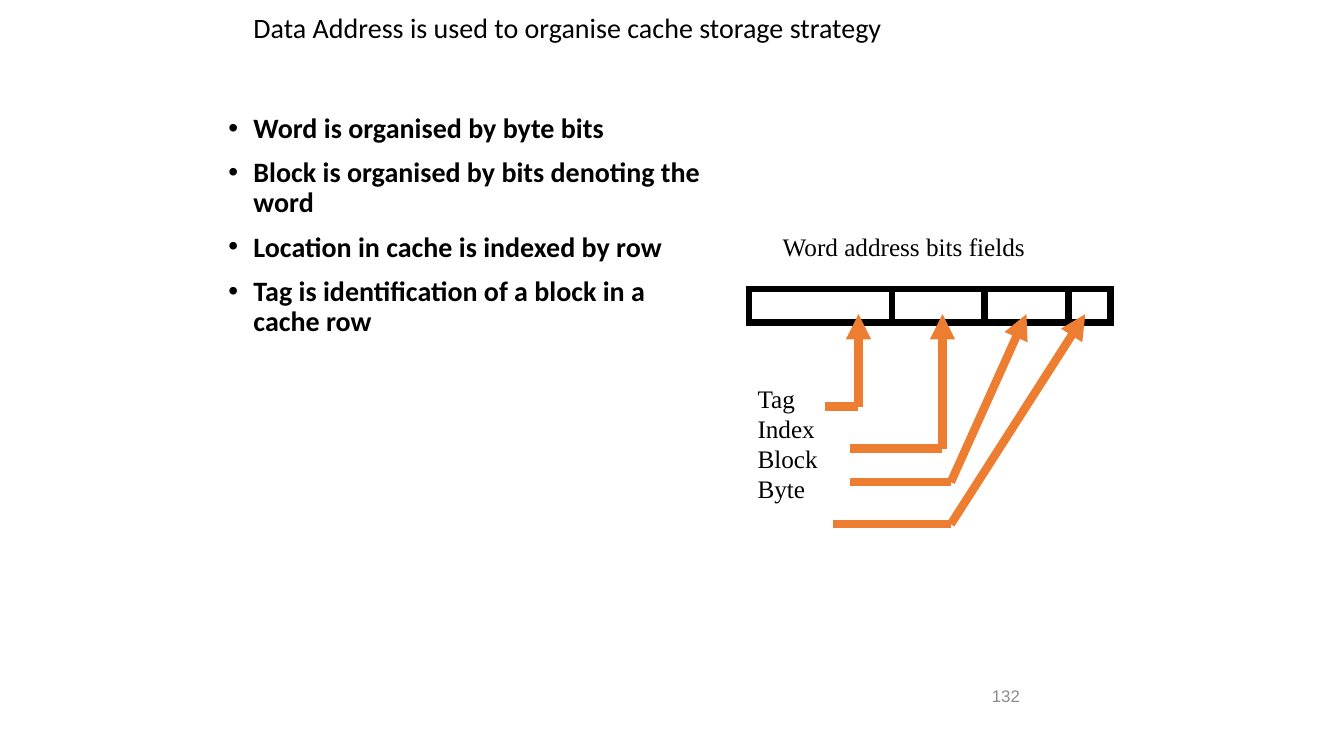
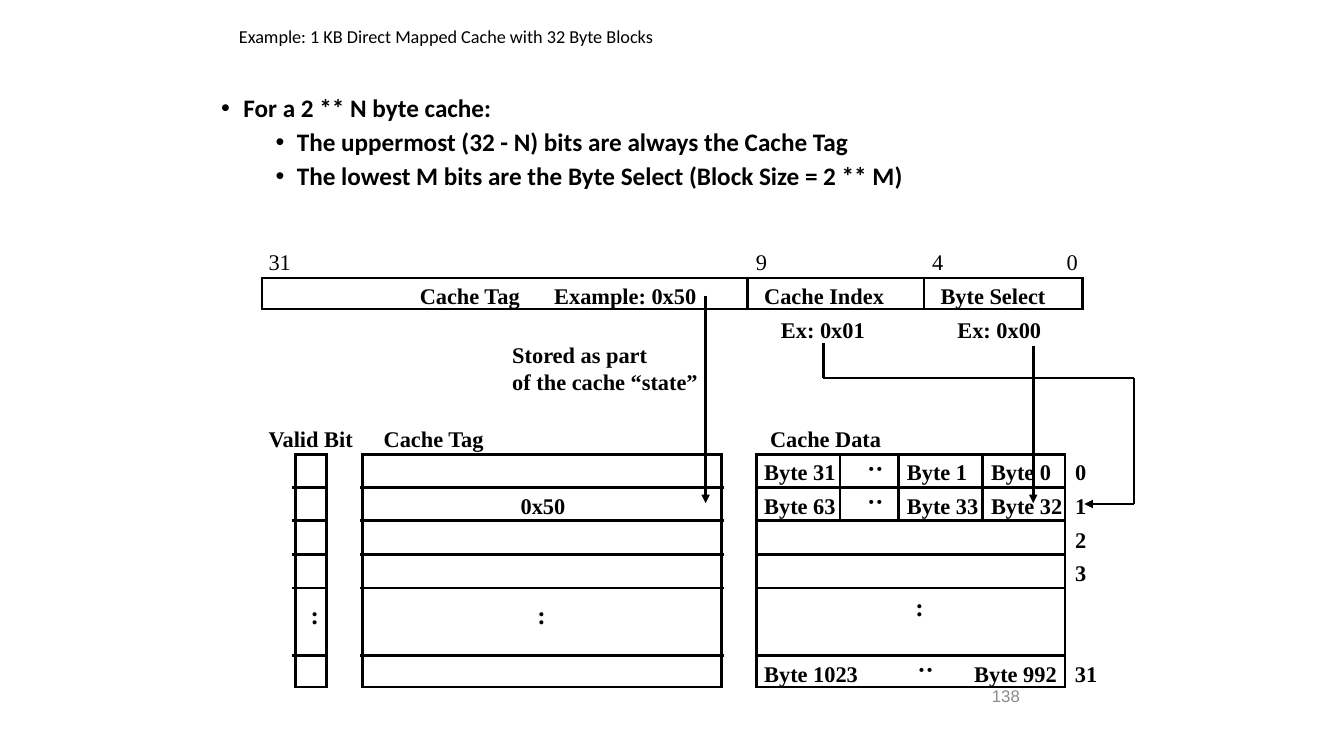
from pptx import Presentation
from pptx.dml.color import RGBColor
from pptx.enum.shapes import MSO_CONNECTOR, MSO_SHAPE
from pptx.enum.text import MSO_ANCHOR
from pptx.oxml.ns import qn
from pptx.util import Inches, Pt
from lxml.etree import SubElement

# Grid: 160 columns by 90 rows, twelve to the inch
U = Inches(1) / 12
COLS, ROWS = 160, 90
BLACK, GREY, ORANGE = "000000", "8C8C8C", "ED7D31"
SERIF = {"name": "Times New Roman", "size": Pt(16), "bold": True}
PLAIN = {**SERIF, "bold": False}
LARGE = {**SERIF, "size": Pt(18)}
LABEL = {**LARGE, "bold": False}
NUMBER = {"name": "Arial", "size": Pt(12)}
TITLE = {"name": "Calibri", "size": Pt(20)}
BODY = {**TITLE, "bold": True}


def text(s, x, y, w, h, lines, font, color=BLACK, wrap=False, middle=False,
         inset=(0.1, 0.05), spacing=None, bullets=None):
    """Lines are strings, or (level, string) pairs when bullets are given."""
    sp = s.shapes.add_textbox(*(round(v * U) for v in (x, y, w, h)))
    tf = sp.text_frame
    dx, dy = (Inches(v) for v in inset)
    for k, v in {"word_wrap": wrap, "margin_left": dx, "margin_right": dx,
                 "margin_top": dy, "margin_bottom": dy,
                 "vertical_anchor": MSO_ANCHOR.MIDDLE if middle else MSO_ANCHOR.TOP}.items():
        setattr(tf, k, v)
    for i, line in enumerate(lines):
        p = tf.add_paragraph() if i else tf.paragraphs[0]
        if bullets:
            level, line = line
            left, hang, before = bullets[level]
            pPr = p._p.get_or_add_pPr()
            pPr.set("marL", str(Inches(left)))
            pPr.set("indent", str(-Inches(hang)))
            SubElement(pPr, qn("a:buFont"), typeface="Arial")
            SubElement(pPr, qn("a:buChar"), char="•")
            p.level = level
            p.space_before = Pt(before if i else 0)
        if spacing:
            p.line_spacing = spacing
        r = p.add_run()
        r.text = line
        for k, v in font.items():
            setattr(r.font, k, v)
        r.font.color.rgb = RGBColor.from_string(color)
    return sp


def lines(s, points, width=2, color=BLACK, arrow=False):
    """Join the points with straight lines; the arrowhead goes on the last one."""
    for a, b in zip(points, points[1:]):
        c = s.shapes.add_connector(MSO_CONNECTOR.STRAIGHT, *(round(v * U) for v in a + b))
        c.line.width = Pt(width)
        c.line.color.rgb = RGBColor.from_string(color)
        if arrow and b == points[-1]:
            SubElement(c.line._get_or_add_ln(), qn("a:tailEnd"), type="triangle")
        SubElement(c._element.spPr, qn("a:effectLst"))


prs = Presentation()
prs.slide_width, prs.slide_height = round(COLS * U), round(ROWS * U)
s1, s2 = (prs.slides.add_slide(prs.slide_layouts[6]) for _ in range(2))

# Slide numbers
for s, n in ((s1, "132"), (s2, "138")):
    text(s, 116.9, 80, 8, 5.6, [n], NUMBER, GREY, middle=True)

# Titles and bullet lists
TIGHT = (0.07, 0.03)
text(s1, 29, 0, 102, 7.1, ["Data Address is used to organise cache storage strategy"],
     TITLE, wrap=True, middle=True, spacing=0.9)
text(s1, 26, 13, 58.8, 64, [
    (0, "Word is organised by byte bits"),
    (0, "Block is organised by bits denoting the word"),
    (0, "Location in cache is indexed by row"),
    (0, "Tag is identification of a block in a cache row"),
], BODY, wrap=True, spacing=0.9, bullets=[(0.25, 0.25, 10)])
text(s2, 27.6, 3, 51, 3, ["Example: 1 KB Direct Mapped Cache with 32 Byte Blocks"],
     {**TITLE, "size": Pt(13)}, inset=TIGHT, spacing=0.9)
text(s2, 25.5, 11, 112.6, 12.1, [
    (0, "For a 2 ** N byte cache:"),
    (1, "The uppermost (32 - N) bits are always the Cache Tag"),
    (1, "The lowest M bits are the Byte Select (Block Size = 2 ** M)"),
], {**BODY, "size": Pt(18)}, wrap=True, inset=TIGHT, spacing=0.9,
    bullets=[(0.22, 0.22, 10), (0.75, 0.21, 5)])

# Outlines: the address fields, then the address bar and the cache columns
BAR_X, BAR_Y = 89.2, 34.4
TOP, TALL = 54.1, 27.7
boxes = [(s2, 31.2, 33.1, 97.7, 3.7, 2)]
boxes += [(s2, x, TOP, w, TALL, 2) for x, w in ((35.2, 3.7), (43.2, 42.7), (90.1, 36.7))]
x = BAR_X
for w in (17, 11, 10, 5):
    boxes.append((s1, x, BAR_Y, w, 4, 4.5))
    x += w
for s, x, y, w, h, weight in boxes:
    sp = s.shapes.add_shape(MSO_SHAPE.RECTANGLE, *(round(v * U) for v in (x, y, w, h)))
    sp.shadow.inherit = False
    sp.fill.background()
    sp.line.width = Pt(weight)
    sp.line.color.rgb = RGBColor.from_string(BLACK)
    SubElement(sp.line._get_or_add_ln(), qn("a:miter"), lim="800000")

# Slide 1: field names, each led by an arrow into its field
text(s1, 92, 27, 31.6, 4.8, ["Word address bits fields"], LABEL)
text(s1, 89, 45, 9.7, 15.7, ["Tag", "Index", "Block", "Byte"], LABEL)
for start, bend, row, tip in ((9, 13, 14, 13), (12, 23, 19, 23),
                              (12, 24, 23, 33), (10, 24, 28, 40)):
    lines(s1, [(BAR_X + start, BAR_Y + row), (BAR_X + bend, BAR_Y + row),
               (BAR_X + tip, BAR_Y + 3)], 6, ORANGE, arrow=True)

# Slide 2: row rules and cell dividers
for left, right in ((34.8, 39.1), (42.9, 86.2), (90.1, 126.8)):
    for y in (58, 62, 66, 70, 78):
        lines(s2, [(left, y), (right, y)])
for x in (89, 110):
    lines(s2, [(x, 33.1), (x, 36.8)])
for x in (100, 107, 117):
    for y in (54.1, 58.2):
        lines(s2, [(x, y), (x, y + 3.7)])

# Slide 2: arrows from the address to the cache
for points in ([(84, 35.2), (84, 59.9)],
               [(123, 41.2), (123, 59.9)],
               [(98, 40.8), (98, 45), (135, 45), (135, 60), (129.1, 60)]):
    lines(s2, points, arrow=True)

# Slide 2: bit numbers, then labels as column, row, width, wording
ONE_DIGIT, TWO_DIGITS = 4, 6
for x, w, bit in ((30.8, TWO_DIGITS, "31"), (88.8, ONE_DIGIT, "9"),
                  (109.8, ONE_DIGIT, "4"), (125.8, ONE_DIGIT, "0")):
    text(s2, x, 29, w, 4.4, [bit], PLAIN)
labels = [
    (48.8, 33, 14.6, "Cache Tag"), (64.8, 33, 19.6, "Example: 0x50"),
    (89.8, 33, 16.8, "Cache Index"), (110.8, 33, 15.1, "Byte Select"),
    (91.8, 37, 12.5, "Ex: 0x01"), (112.8, 37, 12.5, "Ex: 0x00"),
    (59.8, 40, 24.8, "Stored as part\nof the cache “state”"),
    (30.8, 50, 12.7, "Valid Bit"), (44.5, 50, 14.6, "Cache Tag"),
    (90.5, 50, 15.8, "Cache Data"), (60.8, 58, 7.8, "0x50"),
    (89.8, 78, 13.7, "Byte 1023"), (114.8, 78, 12.4, "Byte 992"),
    (126.8, 78, TWO_DIGITS, "31"),
]
labels += [(126.8, 54 + 4 * i, ONE_DIGIT, str(i)) for i in range(4)]
for y, names in ((54, ("Byte 31", "Byte 1", "Byte 0")), (58, ("Byte 63", "Byte 33", "Byte 32"))):
    labels += [(x, y, 1.5 * len(n) + 0.6, n) for x, n in zip((89.8, 106.8, 116.8), names)]
for x, y, w, wording in labels:
    text(s2, x, y, w, 4.4, wording.split("\n"), SERIF)

# Slide 2: colons for rows left out, turned for bytes left out
for x, y, turn in ((35.8, 70.8, 0), (62.8, 70.8, 0), (107.8, 69.8, 0),
                   (102, 53.4, 270), (102, 57.4, 270), (108, 77.4, 270)):
    text(s2, x, y, 3.4, 4.8, [":"], LARGE).rotation = turn

prs.save("out.pptx")
